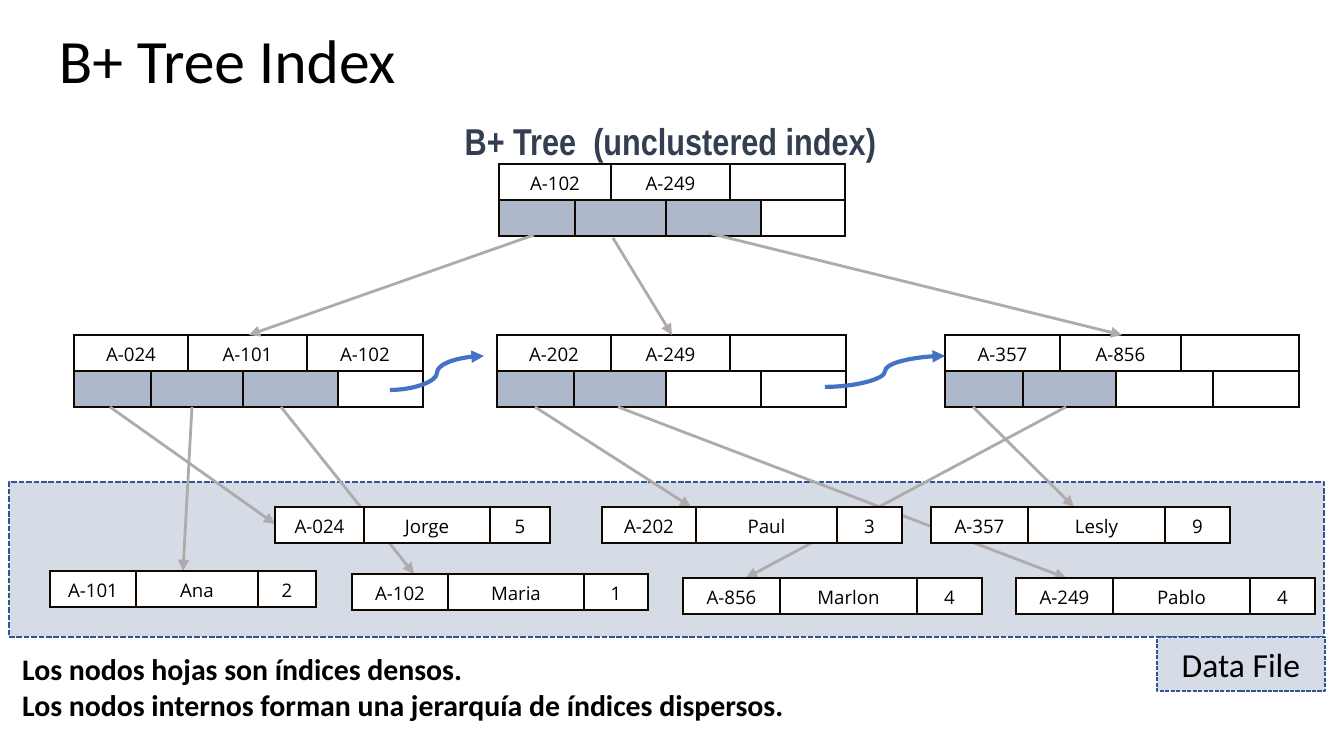
from dataclasses import dataclass

import pptx
import pptx.dml.color
import pptx.enum.dml
import pptx.enum.shapes
import pptx.enum.text
import pptx.oxml.ns
import pptx.util
from lxml import etree

EMU_PER_PX = 914400 / 134.4
ROW_HEIGHT = 36
INSET = 13
BORDER, POINTER_FILL, PANEL = "100700", "ADB9CA", "D6DCE5"
GRAY, BLUE, BLACK, WHITE = "AFABAB", "4472C4", "000000", "FFFFFF"
NODE_SHARES = (0.22, 0.105, 0.158, 0.184, 0.09, 0.243)

Pt = pptx.util.Pt
qn = pptx.oxml.ns.qn
MIDDLE = pptx.enum.text.MSO_ANCHOR.MIDDLE
CENTER = pptx.enum.text.PP_ALIGN.CENTER
STRAIGHT = pptx.enum.shapes.MSO_CONNECTOR.STRAIGHT
CURVE = pptx.enum.shapes.MSO_CONNECTOR.CURVE


@dataclass
class Node:
    left: int
    top: int
    width: int
    keys: tuple[str, ...]
    pointers: int  # pointer cells in use


@dataclass
class Record:
    left: int
    top: int
    columns: tuple[int, int, int]
    values: tuple[str, str, str]


@dataclass
class Arrow:
    start: tuple[int, int]
    end: tuple[int, int]


NODES = [
    Node(499, 164, 347, ("A-102", "A-249"), 3),
    Node(74, 335, 348, ("A-024", "A-101", "A-102"), 3),
    Node(497, 335, 348, ("A-202", "A-249"), 2),
    Node(945, 335, 353, ("A-357", "A-856"), 2),
]
WIDE = (97, 137, 65)
RECORDS = [
    Record(275, 507, (89, 126, 60), ("A-024", "Jorge", "5")),
    Record(50, 571, (86, 122, 58), ("A-101", "Ana", "2")),
    Record(352, 574, (96, 136, 64), ("A-102", "Maria", "1")),
    Record(1016, 578, WIDE, ("A-249", "Pablo", "4")),
    Record(683, 578, WIDE, ("A-856", "Marlon", "4")),
    Record(931, 507, WIDE, ("A-357", "Lesly", "9")),
    Record(602, 507, (94, 141, 65), ("A-202", "Paul", "3")),
]
RECORD_ARROWS = [
    Arrow((110, 407), (275, 524)),
    Arrow((192, 407), (183, 571)),
    Arrow((281, 407), (414, 574)),
    Arrow((535, 407), (691, 507)),
    Arrow((618, 407), (1066, 578)),
    Arrow((973, 407), (1074, 507)),
    Arrow((1066, 407), (746, 578)),
]
CHILD_ARROWS = [
    Arrow((534, 235), (249, 335)),
    Arrow((613, 238), (672, 335)),
    Arrow((708, 233), (1122, 335)),
]
SIBLING_ARROWS = [Arrow((390, 390), (484, 356)), Arrow((825, 387), (945, 356))]


def px(length: float) -> int:
    return round(length * EMU_PER_PX)


def color(value: str) -> pptx.dml.color.RGBColor:
    return pptx.dml.color.RGBColor.from_string(value)


def set_font(paragraph, size: int, name: str = "Calibri",
             fill: str = BLACK, bold: bool = False) -> None:
    font = paragraph.font
    font.size, font.name, font.bold = Pt(size), name, bold
    font.color.rgb = color(fill)


def add_text(slide, box: tuple[int, int, int, int], lines: list[str]):
    frame = slide.shapes.add_textbox(*map(px, box)).text_frame
    frame.word_wrap = True
    frame.text = "\n".join(lines)
    return frame


def set_insets(frame) -> None:
    frame.margin_left = frame.margin_right = px(INSET)
    frame.margin_top = frame.margin_bottom = px(INSET)


def add_panel(slide, box: tuple[int, int, int, int], line: str, width: float):
    shape = slide.shapes.add_shape(pptx.enum.shapes.MSO_SHAPE.RECTANGLE, *map(px, box))
    shape.shadow.inherit = False
    shape.fill.solid()
    shape.fill.fore_color.rgb = color(PANEL)
    shape.line.color.rgb = color(line)
    shape.line.width = Pt(width)
    shape.line.dash_style = pptx.enum.dml.MSO_LINE.SQUARE_DOT
    return shape


def add_arrow(slide, arrow: Arrow, kind=STRAIGHT, line: str = GRAY, width: float = 1.5) -> None:
    connector = slide.shapes.add_connector(kind, *map(px, arrow.start + arrow.end))
    connector.line.color.rgb = color(line)
    connector.line.width = Pt(width)
    etree.SubElement(connector.line._get_or_add_ln(), qn("a:tailEnd"), type="triangle")
    etree.SubElement(connector._element.spPr, qn("a:effectLst"))


def format_cell(cell, text: str, fill: str | None) -> None:
    properties = cell._tc.get_or_add_tcPr()
    for side in ("a:lnL", "a:lnR", "a:lnT", "a:lnB"):
        border = etree.SubElement(properties, qn(side), w=str(Pt(1)))
        solid = etree.SubElement(border, qn("a:solidFill"))
        etree.SubElement(solid, qn("a:srgbClr"), val=BORDER)
    if fill:
        cell.fill.solid()
        cell.fill.fore_color.rgb = color(fill)
    else:
        cell.fill.background()
    cell.text = text
    paragraph = cell.text_frame.paragraphs[0]
    paragraph.alignment = CENTER
    set_font(paragraph, 10, "Open Sans")
    if not text:  # keeps empty cells as low as filled ones
        end = etree.SubElement(paragraph._p, qn("a:endParaRPr"), sz="1000")
        etree.SubElement(end, qn("a:latin"), typeface="Open Sans")


def add_grid(slide, left: int, top: int, columns: list[int], rows: int):
    shape = slide.shapes.add_table(rows, len(columns), px(left), px(top),
                                   px(sum(columns)), px(ROW_HEIGHT * rows))
    table = shape.table
    table.first_row = table.horz_banding = False
    for column, width in zip(table.columns, columns):
        column.width = px(width)
    return table


def add_node(slide, node: Node) -> None:
    table = add_grid(slide, node.left, node.top, [round(node.width * s) for s in NODE_SHARES], 2)
    texts = {2 * i: key for i, key in enumerate(node.keys)}
    for column in range(6):
        format_cell(table.cell(0, column), texts.get(column, ""), None)
        used = (column + 1) // 2 < node.pointers
        format_cell(table.cell(1, column), "", POINTER_FILL if used else None)
    # Three keys above four pointers
    for row, starts in ((0, (0, 2, 4)), (1, (1, 3))):
        for start in starts:
            table.cell(row, start).merge(table.cell(row, start + 1))


def add_record(slide, record: Record) -> None:
    table = add_grid(slide, record.left, record.top, list(record.columns), 1)
    for column, value in enumerate(record.values):
        format_cell(table.cell(0, column), value, WHITE)


def main() -> None:
    presentation = pptx.Presentation()
    presentation.slide_width, presentation.slide_height = px(1344), px(756)
    slide = presentation.slides.add_slide(presentation.slide_layouts[6])

    # Data file area and title
    add_panel(slide, (9, 482, 1315, 155), "325491", 1)
    title = add_text(slide, (46, 17, 1253, 103), ["B+ Tree Index"])
    set_insets(title)
    title.paragraphs[0].line_spacing = 0.9
    set_font(title.paragraphs[0], 33)

    # Tree nodes, records and their arrows
    for node in NODES:
        add_node(slide, node)
    for arrow in RECORD_ARROWS:
        add_arrow(slide, arrow)
    for record in RECORDS:
        add_record(slide, record)
    for arrow in SIBLING_ARROWS:
        add_arrow(slide, arrow, CURVE, BLUE, 2.25)
    for arrow in CHILD_ARROWS:
        add_arrow(slide, arrow)

    # Tree heading
    heading = add_text(slide, (249, 94, 793, 70), ["B+ Tree  (unclustered index)"])
    set_insets(heading)
    heading.vertical_anchor = MIDDLE
    paragraph = heading.paragraphs[0]
    paragraph.alignment, paragraph.line_spacing = CENTER, 1.5
    paragraph._p.get_or_add_pPr().set("marL", str(px(50)))
    set_font(paragraph, 20, "Arial Narrow", "333F50", True)

    # Notes and data file label
    notes = add_text(slide, (9, 644, 1315, 86), [
        "Los nodos hojas son índices densos.",
        "Los nodos internos forman una jerarquía de índices dispersos.",
    ])
    for paragraph in notes.paragraphs:
        set_font(paragraph, 16, bold=True)
    label = add_panel(slide, (1157, 637, 168, 54), "2F5597", 0.75).text_frame
    label.text = "Data File"
    label.paragraphs[0].alignment = CENTER
    set_font(label.paragraphs[0], 18)

    presentation.save("out.pptx")


if __name__ == "__main__":
    main()
